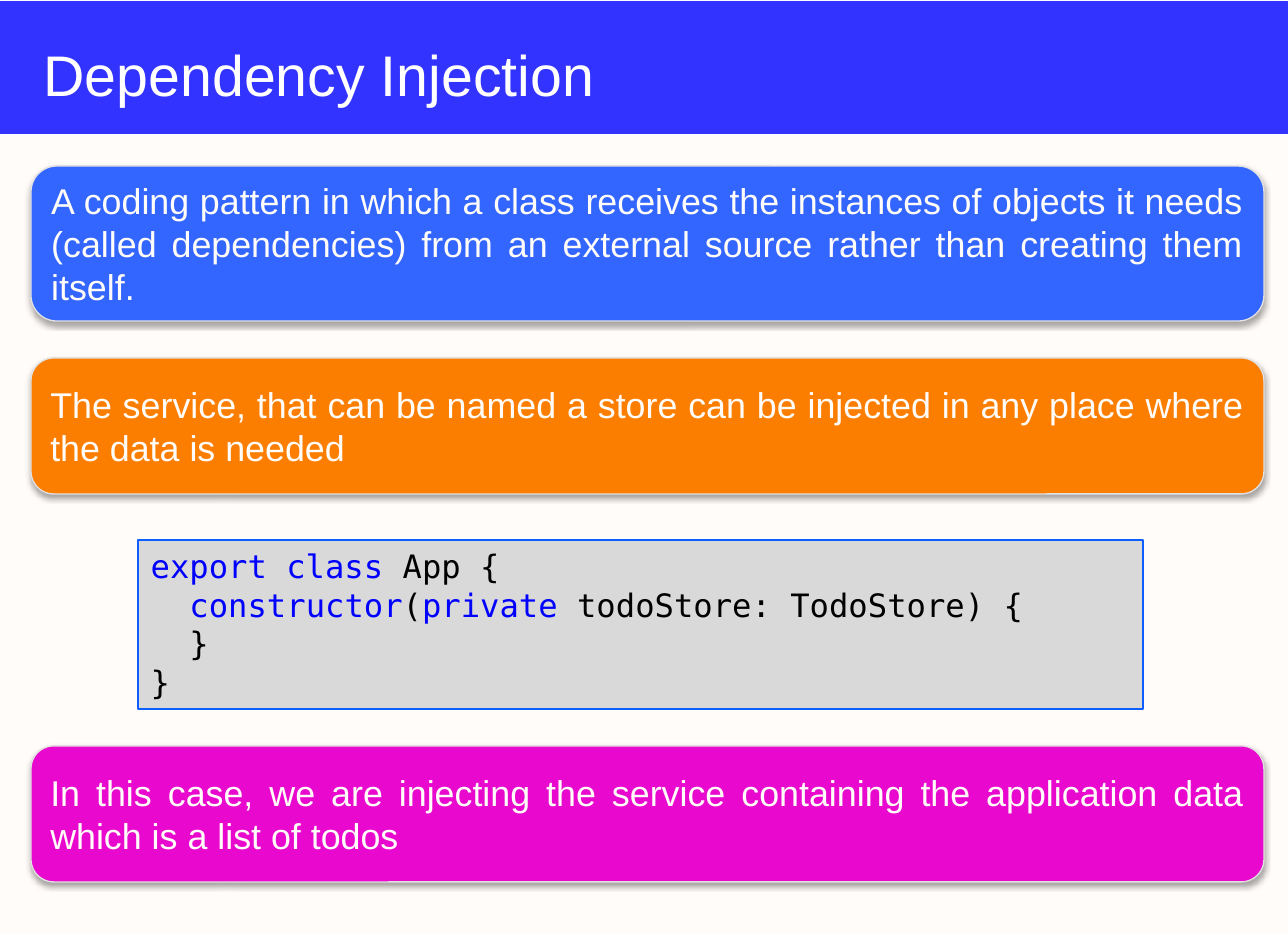
from lxml import etree
from pptx import Presentation
from pptx.dml.color import RGBColor
from pptx.enum import shapes, text
from pptx.oxml import ns
from pptx.util import Pt

SCALE = 914400 / 128.8
COLORS = dict(page="FFFCF9", bar="3333FF", white="FFFFFF", blue="3366FF",
              orange="FC7E00", pink="E909CE", edge="E1E1E1", gray="D9D9D9",
              frame="0D5EFF", key="0000FF", black="000000")
SANS, MONO = "Arial", "DejaVu Sans Mono"

# Content
TITLE = "Dependency Injection"
CARDS = [  # top, height, fill, text
    (166, 155, "blue", "A coding pattern in which a class receives the instances of "
     "objects it needs (called dependencies) from an external source rather than "
     "creating them itself."),
    (358, 136, "orange", "The service, that can be named a store can be injected in "
     "any place where the data is needed"),
    (746, 136, "pink", "In this case, we are injecting the service containing the "
     "application data which is a list of todos"),
]
CODE = [
    [("export\u00a0class", "key"), ("\u00a0App\u00a0{", "black")],
    [("\u00a0\u00a0", "black"), ("constructor", "key"), ("(", "black"),
     ("private\u00a0", "key"), ("todoStore:\u00a0TodoStore)\u00a0{", "black")],
    [("\u00a0\u00a0}", "black")],
    [("}", "black")],
]
LEFT, WIDTH = 31, 1233


def px(n):
    return round(n * SCALE)


def rgb(name):
    return RGBColor.from_string(COLORS[name])


def box(kind, area, fill, line=None):
    shape = slide.shapes.add_shape(kind, *map(px, area))
    shape.shadow.inherit = False
    shape.fill.solid()
    shape.fill.fore_color.rgb = rgb(fill)
    if line:
        shape.line.color.rgb = rgb(line)
        shape.line.width = Pt(0.75)
    else:
        shape.line.fill.background()
    return shape


def write(shape, lines, font, size, align, anchor):
    frame = shape.text_frame
    frame.word_wrap = True
    frame.vertical_anchor = anchor
    for i, runs in enumerate(lines):
        para = frame.add_paragraph() if i else frame.paragraphs[0]
        para.alignment = align
        for words, color in runs:
            run = para.add_run()
            run.text = words
            run.font.name, run.font.size = font, Pt(size)
            run.font.color.rgb = rgb(color)


def shade(shape):
    effects = shape._element.spPr.find(ns.qn("a:effectLst"))
    outer = etree.SubElement(effects, ns.qn("a:outerShdw"), blurRad=str(Pt(3.1)),
                             dist=str(Pt(1.8)), dir="5400000", rotWithShape="0")
    color = etree.SubElement(outer, ns.qn("a:srgbClr"), val=COLORS["black"])
    etree.SubElement(color, ns.qn("a:alpha"), val="35000")


deck = Presentation()
deck.slide_width, deck.slide_height = px(1288), px(934)
slide = deck.slides.add_slide(deck.slide_layouts[6])
slide.background.fill.solid()
slide.background.fill.fore_color.rgb = rgb("page")
KIND, ALIGN, ANCHOR = shapes.MSO_SHAPE, text.PP_ALIGN, text.MSO_ANCHOR

# Title bar
box(KIND.RECTANGLE, (0, 1, 1288, 133), "bar")
title = slide.shapes.add_textbox(*map(px, (LEFT, 35, WIDTH, 77)))
write(title, [[(TITLE, "white")]], SANS, 32, ALIGN.LEFT, ANCHOR.MIDDLE)

# Rounded cards
for top, high, fill, words in CARDS:
    card = box(KIND.ROUNDED_RECTANGLE, (LEFT, top, WIDTH, high), fill, "edge")
    shade(card)
    write(card, [[(words, "page")]], SANS, 20, ALIGN.JUSTIFY, ANCHOR.MIDDLE)

# Code panel
panel = box(KIND.RECTANGLE, (138, 540, 1005, 169), "gray", "frame")
write(panel, CODE, MONO, 18, ALIGN.LEFT, ANCHOR.TOP)

deck.save("out.pptx")
